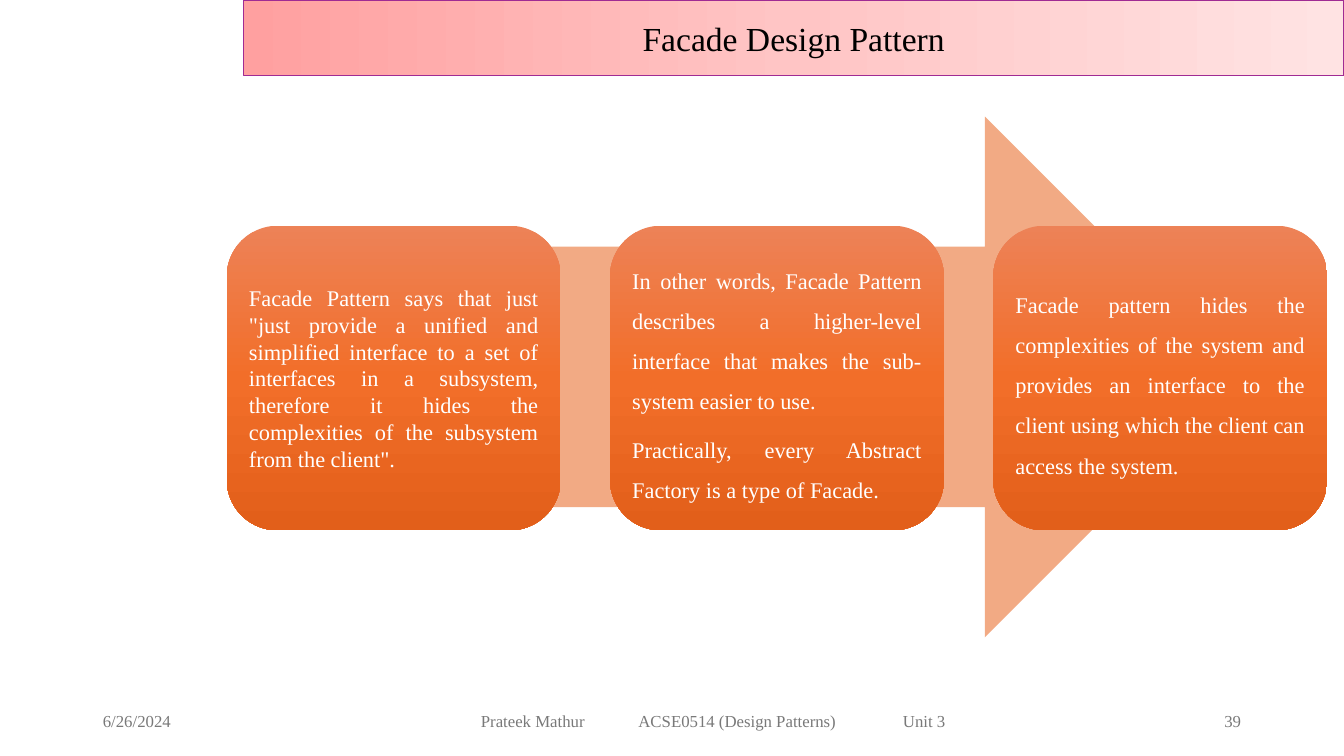
from dataclasses import dataclass

from lxml import etree
from pptx import Presentation
from pptx import util as u
from pptx.dml.color import RGBColor
from pptx.enum import shapes, text
from pptx.oxml.ns import qn

EMU_PER_PX = 9525
FONT = "Times New Roman"
GREY = "797979"
TITLE_FILL = ("FFA0A0", "FFC5C5", "FFE3E3")
CARD_FILL = ("ED8257", "F26E29", "E25F1A")
CARD_LEFT, CARD_PITCH = 216, 365
FOOTER_TOP, FOOTER_HEIGHT = 667, 38
LEFT, CENTER, RIGHT, JUSTIFY = (
    text.PP_ALIGN.LEFT, text.PP_ALIGN.CENTER, text.PP_ALIGN.RIGHT, text.PP_ALIGN.JUSTIFY)


@dataclass(frozen=True)
class Card:
    paragraphs: tuple[str, ...]
    line_spacing: float = 1.5


@dataclass(frozen=True)
class FooterItem:
    words: str
    left: int
    width: int
    align: text.PP_ALIGN
    inset: int = 10
    tabs: tuple[int, ...] = ()


CARDS = (
    Card(('Facade Pattern says that just "just provide a unified and simplified '
          'interface to a set of interfaces in a subsystem, therefore it hides the '
          'complexities of the subsystem from the client".',), 1.0),
    Card(("In other words, Facade Pattern describes a higher-level interface that "
          "makes the sub-system easier to use.",
          "Practically, every Abstract Factory is a type of Facade.")),
    Card(("Facade pattern hides the complexities of the system and provides an "
          "interface to the client using which the client can access the system.",)),
)

FOOTER = (
    FooterItem("6/26/2024", 88, 288, LEFT),
    FooterItem("Prateek Mathur\tACSE0514 (Design Patterns)\tUnit 3", 424, 513, LEFT,
               inset=34, tabs=(150, 402)),
    FooterItem("39", 904, 288, RIGHT),
)


def px(length: int) -> u.Emu:
    return u.Emu(length * EMU_PER_PX)


def color(value: str) -> RGBColor:
    return RGBColor.from_string(value)


def add_block(page, kind, left: int, top: int, width: int, height: int):
    """Add a preset shape without shadow or outline."""
    shape = page.shapes.add_shape(kind, px(left), px(top), px(width), px(height))
    shape.shadow.inherit = False
    shape.line.fill.background()
    return shape


def fill_gradient(shape, stops: tuple[str, ...], angle: int) -> None:
    """Spread the stops evenly; the angle runs counter-clockwise."""
    shape.fill.gradient()
    shape.fill.gradient_angle = angle
    stop_list = shape._element.spPr.find(qn("a:gradFill")).find(qn("a:gsLst"))
    for stop in list(stop_list):
        stop_list.remove(stop)
    for index, value in enumerate(stops):
        position = index * 100000 // (len(stops) - 1)
        stop = etree.SubElement(stop_list, qn("a:gs"), pos=str(position))
        etree.SubElement(stop, qn("a:srgbClr"), val=value)


def add_tabs(para, positions: tuple[int, ...]) -> None:
    tab_list = etree.SubElement(para._p.get_or_add_pPr(), qn("a:tabLst"))
    for position in positions:
        etree.SubElement(tab_list, qn("a:tab"), pos=str(px(position)), algn="l")


def write(shape, paragraphs: tuple[str, ...], *, size: int, fill: str,
          align: text.PP_ALIGN, inset: int = 10, inset_y: int = 5,
          line_spacing: float = 1.0, space_after: float = 0,
          tabs: tuple[int, ...] = ()) -> None:
    frame = shape.text_frame
    frame.word_wrap = True
    frame.vertical_anchor = text.MSO_ANCHOR.MIDDLE
    frame.margin_left = frame.margin_right = px(inset)
    frame.margin_top = frame.margin_bottom = px(inset_y)
    for index, words in enumerate(paragraphs):
        para = frame.add_paragraph() if index else frame.paragraphs[0]
        para.alignment = align
        para.line_spacing = line_spacing
        para.space_after = u.Pt(space_after)
        if tabs:
            add_tabs(para, tabs)
        span = para.add_run()
        span.text = words
        span.font.name = FONT
        span.font.size = u.Pt(size)
        span.font.color.rgb = color(fill)


def add_title(page) -> None:
    banner = add_block(page, shapes.MSO_SHAPE.RECTANGLE, 232, 0, 1048, 72)
    fill_gradient(banner, TITLE_FILL, 0)
    banner.line.color.rgb = color("A02B93")
    banner.line.width = u.Pt(1)
    write(banner, ("Facade Design Pattern",), size=24, fill="000000", align=CENTER)


def add_process(page) -> None:
    arrow = add_block(page, shapes.MSO_SHAPE.RIGHT_ARROW, 295, 111, 891, 496)
    arrow.fill.solid()
    arrow.fill.fore_color.rgb = color("F2AA84")
    for index, card in enumerate(CARDS):
        box = add_block(page, shapes.MSO_SHAPE.ROUNDED_RECTANGLE,
                        CARD_LEFT + index * CARD_PITCH, 215, 318, 290)
        fill_gradient(box, CARD_FILL, 270)
        write(box, card.paragraphs, size=16, fill="FFFFFF", align=JUSTIFY, inset=7,
              inset_y=7, line_spacing=card.line_spacing, space_after=5.6)


def add_footer(page) -> None:
    for item in FOOTER:
        box = page.shapes.add_textbox(px(item.left), px(FOOTER_TOP),
                                      px(item.width), px(FOOTER_HEIGHT))
        write(box, (item.words,), size=12, fill=GREY, align=item.align,
              inset=item.inset, tabs=item.tabs)


def main() -> None:
    deck = Presentation()
    deck.slide_width, deck.slide_height = px(1280), px(720)
    page = deck.slides.add_slide(deck.slide_layouts[6])
    add_title(page)
    add_process(page)
    add_footer(page)
    deck.save("out.pptx")


if __name__ == "__main__":
    main()
